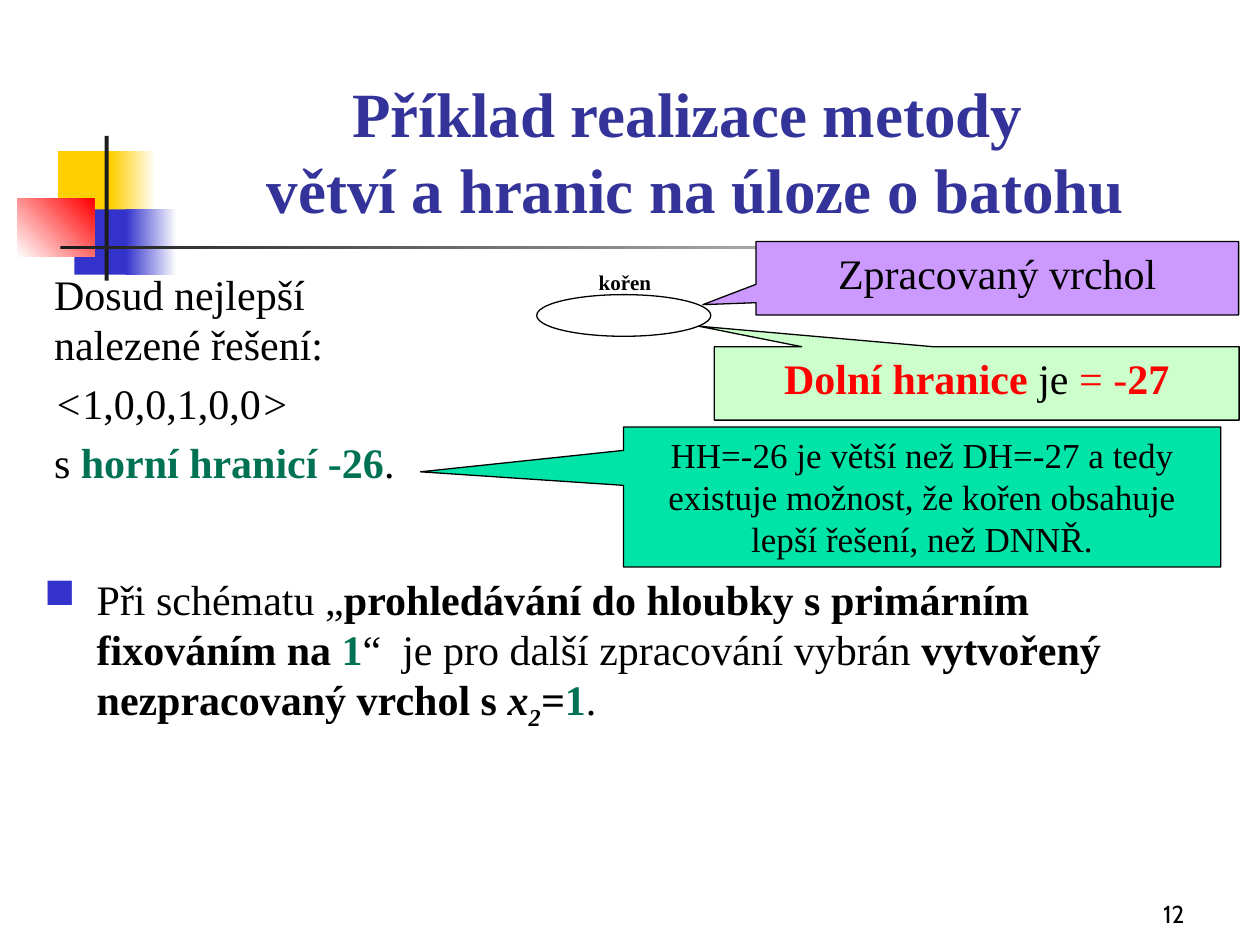
from dataclasses import dataclass

from lxml.etree import SubElement
from pptx import Presentation
from pptx.dml.color import RGBColor
from pptx.enum.shapes import MSO_SHAPE as Shape
from pptx.enum.text import MSO_ANCHOR as Anchor, PP_ALIGN as Align
from pptx.oxml.ns import qn
from pptx.util import Cm, Pt


@dataclass(frozen=True)
class Theme:
    serif: str = "Times New Roman"
    sans: str = "Cabin"
    title_size: int = 36
    body_size: int = 24
    note_size: int = 20
    number_size: int = 14
    label_size: int = 12
    black: str = "000000"
    white: str = "FFFFFF"
    title: str = "333399"
    yellow: str = "FFCF01"
    blue: str = "3333CC"
    red: str = "FF0000"
    dark: str = "1C1C1C"
    green: str = "007254"
    violet: str = "CC99FF"
    mint: str = "CCFFCC"
    teal: str = "00E4A8"


class SlideBuilder:
    """Draws styled elements on the current slide."""

    def __init__(self, page, theme):
        self.page = page
        self.theme = theme

    def shape(self, kind, place, fill=None, outlined=False):
        box = self.page.shapes.add_shape(kind, *map(Cm, place))
        box.shadow.inherit = False
        if fill:
            box.fill.solid()
            box.fill.fore_color.rgb = RGBColor.from_string(fill)
        else:
            box.fill.background()
        if outlined:
            box.line.color.rgb = RGBColor.from_string(self.theme.black)
            box.line.width = Pt(0.75)
        else:
            box.line.fill.background()
        return box

    def fade(self, place, start, end, angle=0):
        box = self.shape(Shape.RECTANGLE, place)
        box.fill.gradient()
        box.fill.gradient_angle = angle
        for stop, color in zip(box.fill.gradient_stops, (start, end)):
            stop.color.rgb = RGBColor.from_string(color)

    def callout(self, place, tip, fill, runs, size):
        box = self.shape(Shape.RECTANGULAR_CALLOUT, place, fill, True)
        box.adjustments[0], box.adjustments[1] = tip
        self.fill_text(box.text_frame, [runs], size, align=Align.CENTER)

    def text(self, place, paragraphs, size, inset=None, bullet=False, **style):
        box = self.page.shapes.add_textbox(*map(Cm, place))
        frame = box.text_frame
        if inset is not None:
            frame.margin_left = frame.margin_right = Cm(inset)
            frame.margin_top = frame.margin_bottom = Cm(inset)
        self.fill_text(frame, paragraphs, size, **style)
        if bullet:
            for para in frame.paragraphs:
                self.bullet(para)

    def fill_text(self, frame, paragraphs, size, align=Align.LEFT,
                  anchor=Anchor.TOP, font=None, color=None, bold=False):
        frame.word_wrap = True
        frame.vertical_anchor = anchor
        for index, runs in enumerate(paragraphs):
            para = frame.add_paragraph() if index else frame.paragraphs[0]
            para.alignment = align
            para.space_before = Pt(0.2 * size if index else 0)
            for words, *marks in runs:
                if words == "\n":
                    para.add_line_break()
                    continue
                self.span(para, words, size, font, color, bold, *marks)

    def span(self, para, words, size, font, color, bold, marks="", tint=None):
        span = para.add_run()
        span.text = words
        span.font.name = font or self.theme.serif
        span.font.size = Pt(size)
        span.font.bold = bold or "b" in marks
        span.font.italic = "i" in marks
        ink = tint or color or self.theme.black
        span.font.color.rgb = RGBColor.from_string(ink)
        if "_" in marks:
            span._r.get_or_add_rPr().set("baseline", "-25000")

    def bullet(self, para):
        props = para._p.get_or_add_pPr()
        props.set("marL", str(Cm(1.06)))
        props.set("indent", str(-Cm(1.06)))
        tint = SubElement(props, qn("a:buClr"))
        SubElement(tint, qn("a:srgbClr"), val=self.theme.blue)
        SubElement(props, qn("a:buChar"), char="■")


def draw_ornament(builder, theme):
    builder.shape(Shape.RECTANGLE, (1.17, 3.05, 1.22, 1.32), theme.yellow)
    builder.fade((2.24, 3.05, 0.91, 1.32), theme.yellow, theme.white)
    builder.shape(Shape.RECTANGLE, (1.5, 4.22, 1.17, 1.32), theme.blue)
    builder.fade((2.54, 4.22, 1.02, 1.32), theme.blue, theme.white)
    builder.fade((0.35, 4.01, 1.55, 1.17), theme.white, theme.red, 45)
    builder.shape(Shape.RECTANGLE, (2.11, 2.74, 0.08, 2.92), theme.dark)
    builder.fade((1.22, 4.95, 22.86, 0.08), theme.dark, theme.white)


def draw_content(builder, theme):
    size = theme.body_size
    builder.text((18.85, 17.58, 5.28, 1.27), [[("12",)]], theme.number_size,
                 align=Align.RIGHT, anchor=Anchor.BOTTOM, font=theme.sans)
    builder.text((3.2, 1.07, 21.64, 3.61),
                 [[("Příklad realizace metody ",), ("\n",),
                   ("větví a hranic na úloze o batohu",)]],
                 theme.title_size, align=Align.CENTER, anchor=Anchor.BOTTOM,
                 color=theme.title, bold=True)
    builder.text((12.04, 5.41, 1.22, 0.58), [[("kořen",)]], theme.label_size,
                 inset=0.03, bold=True)
    builder.shape(Shape.OVAL, (10.82, 5.94, 3.51, 0.84), outlined=True)
    builder.text((0.84, 5.28, 8.46, 6.35), [
        [("Dosud nejlepší nalezené řešení:",)],
        [("<", "i"), ("1,0,0,1,0,0",), (">", "i")],
        [("s ",), ("horní hranicí -26", "b", theme.green), (".",)],
    ], size)
    builder.callout((15.24, 4.87, 9.73, 1.48), (-0.61, 0.36), theme.violet,
                    [("Zpracovaný vrchol",)], size)
    builder.callout((14.4, 6.99, 10.58, 1.48), (-0.53, -0.78), theme.mint,
                    [("Dolní hranice ", "b", theme.red), ("je ",),
                     ("= -", "", theme.red), ("27", "b", theme.red)], size)
    builder.text((0.64, 11.43, 23.98, 3.18), [[
        ("Při schématu „",),
        ("prohledávání do hloubky s primárním fixováním na ", "b"),
        ("1", "b", theme.green),
        ("“  je pro další zpracování vybrán ",),
        ("vytvořený nezpracovaný vrchol s ", "b"),
        ("x", "bi"), ("2", "bi_"), ("=", "bi"),
        ("1", "b", theme.green), (".",),
    ]], size, bullet=True)
    builder.callout((12.57, 8.61, 12.04, 2.82), (-0.84, -0.18), theme.teal,
                    [("HH=-26 je větší než DH=-27 a tedy existuje možnost, "
                      "že kořen obsahuje lepší řešení, než DNNŘ.",)],
                    theme.note_size)


def main():
    deck = Presentation()
    deck.slide_width, deck.slide_height = Cm(25.4), Cm(19.05)
    page = deck.slides.add_slide(deck.slide_layouts[6])
    theme = Theme()
    builder = SlideBuilder(page, theme)
    draw_ornament(builder, theme)
    draw_content(builder, theme)
    deck.save("out.pptx")


if __name__ == "__main__":
    main()
